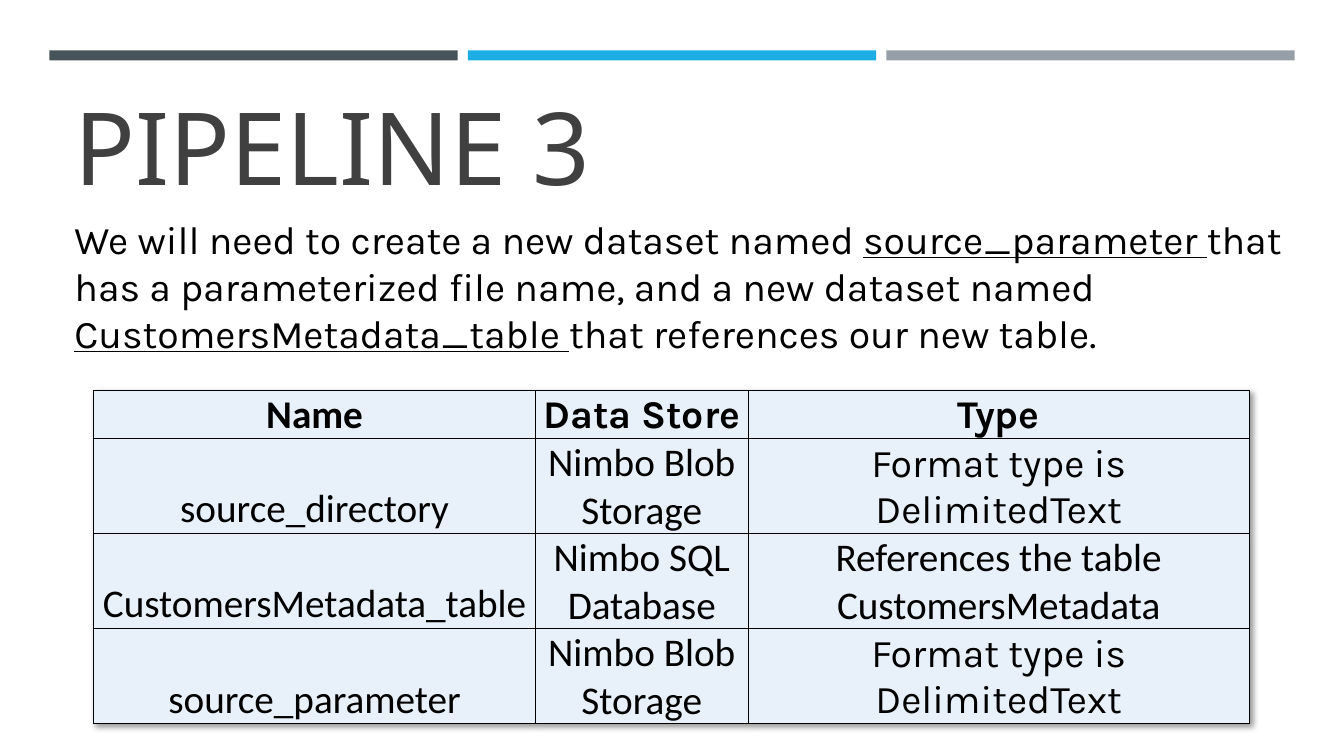
from typing import NamedTuple

from lxml import etree
from pptx import Presentation
from pptx.dml.color import RGBColor
from pptx.enum.shapes import MSO_SHAPE
from pptx.enum.text import MSO_ANCHOR, MSO_AUTO_SIZE, PP_ALIGN
from pptx.oxml.ns import qn
from pptx.util import Inches, Pt

RECTANGLE = MSO_SHAPE.RECTANGLE
BOTTOM = MSO_ANCHOR.BOTTOM
LEFT, CENTER = PP_ALIGN.LEFT, PP_ALIGN.CENTER
NO_FIT, GROW = MSO_AUTO_SIZE.NONE, MSO_AUTO_SIZE.SHAPE_TO_FIT_TEXT

TITLE_FONT, BODY_FONT, CELL_FONT = "Noto Sans", "Karla", "Calibri"
BLACK, TITLE_GREY, CELL_BLUE = "000000", "404040", "E8F1FA"
BAR_COLORS = ["465359", "1CADE4", "969FA7"]
BAR_LEFT, BAR_TOP, BAR_WIDTH, BAR_HEIGHT, BAR_STEP = 0.49, 0.5, 4.05, 0.1, 4.15
COLUMN_WIDTHS = [4.38, 2.11, 4.97]
ROW_HEIGHTS = [0.47, 0.94, 0.94, 0.94]


class Span(NamedTuple):
    """A run of text with its formatting."""
    text: str
    font: str = CELL_FONT
    size: int = 28
    color: str = BLACK
    bold: bool = False
    underline: bool = False


INTRO = [
    Span("We will need to create a new dataset named ", BODY_FONT),
    Span("source_parameter ", BODY_FONT, underline=True),
    Span("that has a parameterized file name, and a new dataset named ", BODY_FONT),
    Span("CustomersMetadata_table ", BODY_FONT, underline=True),
    Span("that references our new table.", BODY_FONT),
]
BLOB_STORE = Span("Nimbo Blob Storage")
DELIMITED = Span("Format type is DelimitedText", BODY_FONT)
DATASETS = [
    [Span("Name", bold=True), Span("Data Store", BODY_FONT, bold=True),
     Span("Type", BODY_FONT, bold=True)],
    [Span("source_directory"), BLOB_STORE, DELIMITED],
    [Span("CustomersMetadata_table"), Span("Nimbo SQL Database"),
     Span("References the table CustomersMetadata")],
    [Span("source_parameter"), BLOB_STORE, DELIMITED],
]


def rgb(color: str) -> RGBColor:
    """Turn a hex string into a colour."""
    return RGBColor.from_string(color)


def write(para, spans: list[Span], align=LEFT) -> None:
    """Fill a paragraph run by run."""
    para.alignment = align
    for span in spans:
        run = para.add_run()
        run.text = span.text
        font = run.font
        font.name, font.size = span.font, Pt(span.size)
        font.bold, font.underline = span.bold, span.underline
        font.color.rgb = rgb(span.color)


def add_bars(page) -> None:
    """Draw the row of colour bars along the top."""
    for index, color in enumerate(BAR_COLORS):
        bar = page.shapes.add_shape(
            RECTANGLE, Inches(BAR_LEFT + index * BAR_STEP), Inches(BAR_TOP),
            Inches(BAR_WIDTH), Inches(BAR_HEIGHT))
        bar.shadow.inherit = False
        bar.fill.solid()
        bar.fill.fore_color.rgb = rgb(color)
        bar.line.fill.background()


def add_title(page) -> None:
    """Place and format the title."""
    title = page.shapes.title
    title.left, title.top = Inches(0.64), Inches(0.78)
    title.width, title.height = Inches(12.06), Inches(1.31)
    frame = title.text_frame
    frame.auto_size, frame.vertical_anchor = NO_FIT, BOTTOM
    write(frame.paragraphs[0], [Span("PIPELINE 3", TITLE_FONT, 72, TITLE_GREY)])


def add_intro(page) -> None:
    """Add the paragraph above the table."""
    box = page.shapes.add_textbox(
        Inches(0.64), Inches(2.09), Inches(12.45), Inches(1.51))
    frame = box.text_frame
    frame.word_wrap, frame.auto_size = True, GROW
    write(frame.paragraphs[0], INTRO)


def add_solid(parent, color: str) -> None:
    """Append a solid fill to a line element."""
    fill = etree.SubElement(parent, qn("a:solidFill"))
    etree.SubElement(fill, qn("a:srgbClr"), val=color)


def format_cell(cell, span: Span) -> None:
    """Write, fill and border one table cell."""
    cell.vertical_anchor = BOTTOM
    cell.margin_left = cell.margin_right = cell.margin_top = Inches(0.01)
    cell.margin_bottom = Inches(0)
    write(cell.text_frame.paragraphs[0], [span], CENTER)
    properties = cell._tc.get_or_add_tcPr()
    for side in ("a:lnL", "a:lnR", "a:lnT", "a:lnB"):
        line = etree.SubElement(properties, qn(side), w=str(Pt(1)))
        add_solid(line, BLACK)
    cell.fill.solid()
    cell.fill.fore_color.rgb = rgb(CELL_BLUE)


def add_table_shadow(table) -> None:
    """Give the table a soft shadow to the lower right."""
    properties = table._tbl.tblPr
    effects = etree.Element(qn("a:effectLst"))
    shadow = etree.SubElement(
        effects, qn("a:outerShdw"), blurRad=str(Pt(4)), dist=str(Pt(3)),
        dir="2700000", algn="tl", rotWithShape="0")
    color = etree.SubElement(shadow, qn("a:srgbClr"), val=BLACK)
    etree.SubElement(color, qn("a:alpha"), val="40000")
    properties.insert(0, effects)


def add_datasets(page) -> None:
    """Add the table of datasets."""
    table = page.shapes.add_table(
        len(ROW_HEIGHTS), len(COLUMN_WIDTHS), Inches(0.93), Inches(3.87),
        Inches(sum(COLUMN_WIDTHS)), Inches(sum(ROW_HEIGHTS))).table
    table.horz_banding = False
    for column, width in zip(table.columns, COLUMN_WIDTHS):
        column.width = Inches(width)
    for row, height, spans in zip(table.rows, ROW_HEIGHTS, DATASETS):
        row.height = Inches(height)
        for cell, span in zip(row.cells, spans):
            format_cell(cell, span)
    add_table_shadow(table)


def main() -> None:
    """Build and save the deck."""
    deck = Presentation()
    deck.slide_width, deck.slide_height = Inches(13.33), Inches(7.5)
    page = deck.slides.add_slide(deck.slide_layouts[5])
    add_bars(page)
    add_title(page)
    add_intro(page)
    add_datasets(page)
    deck.save("out.pptx")


main()
